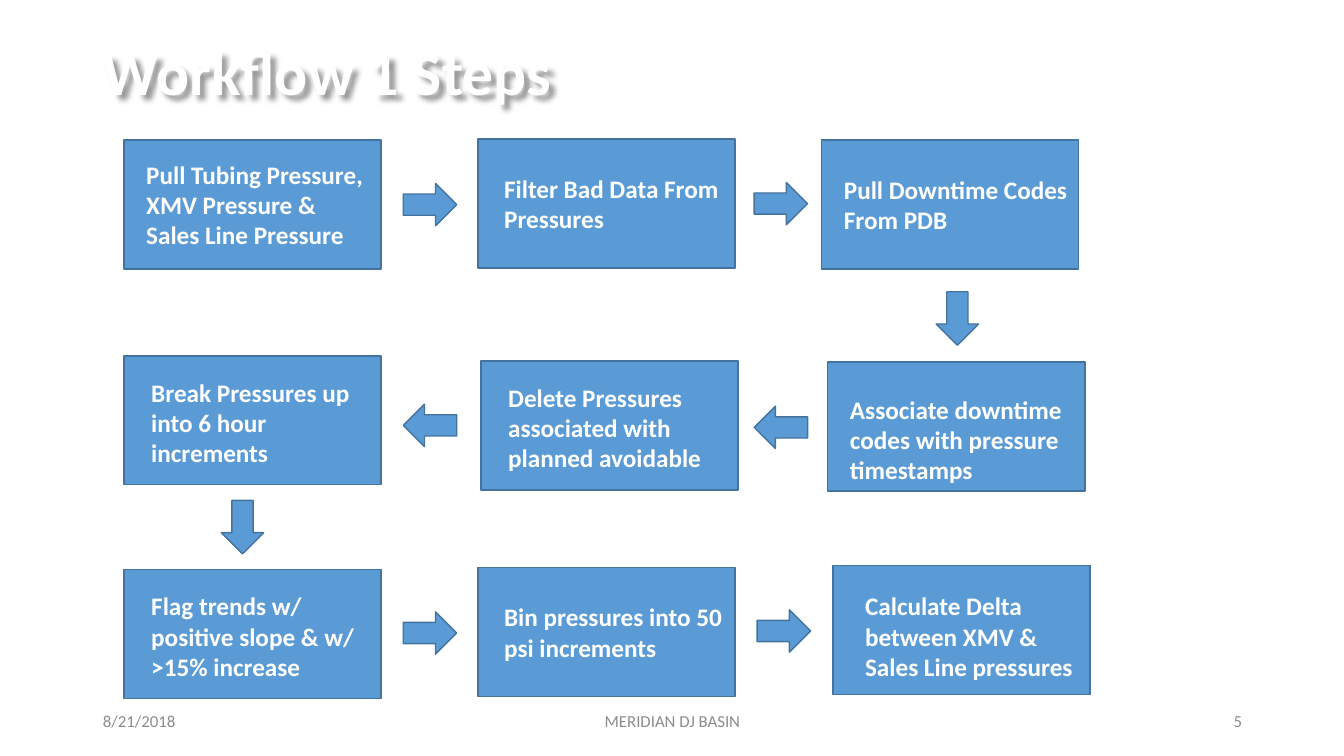
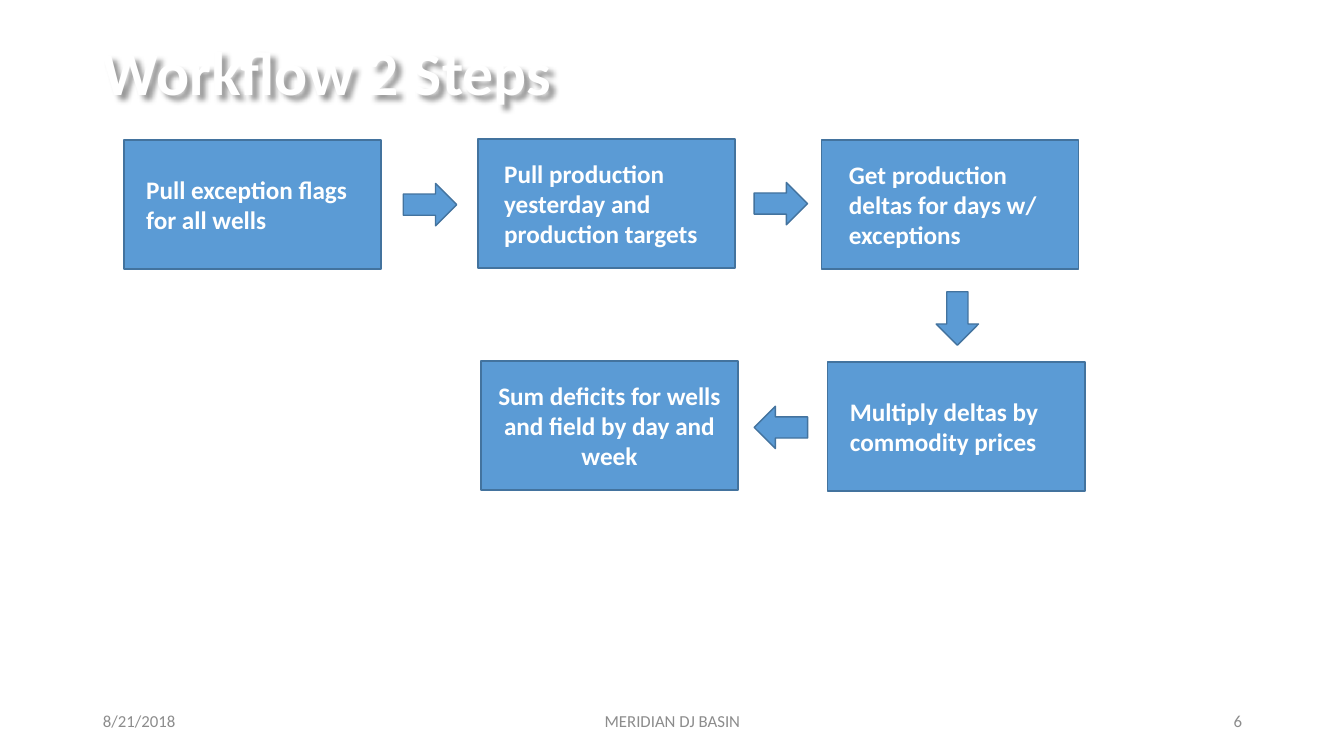
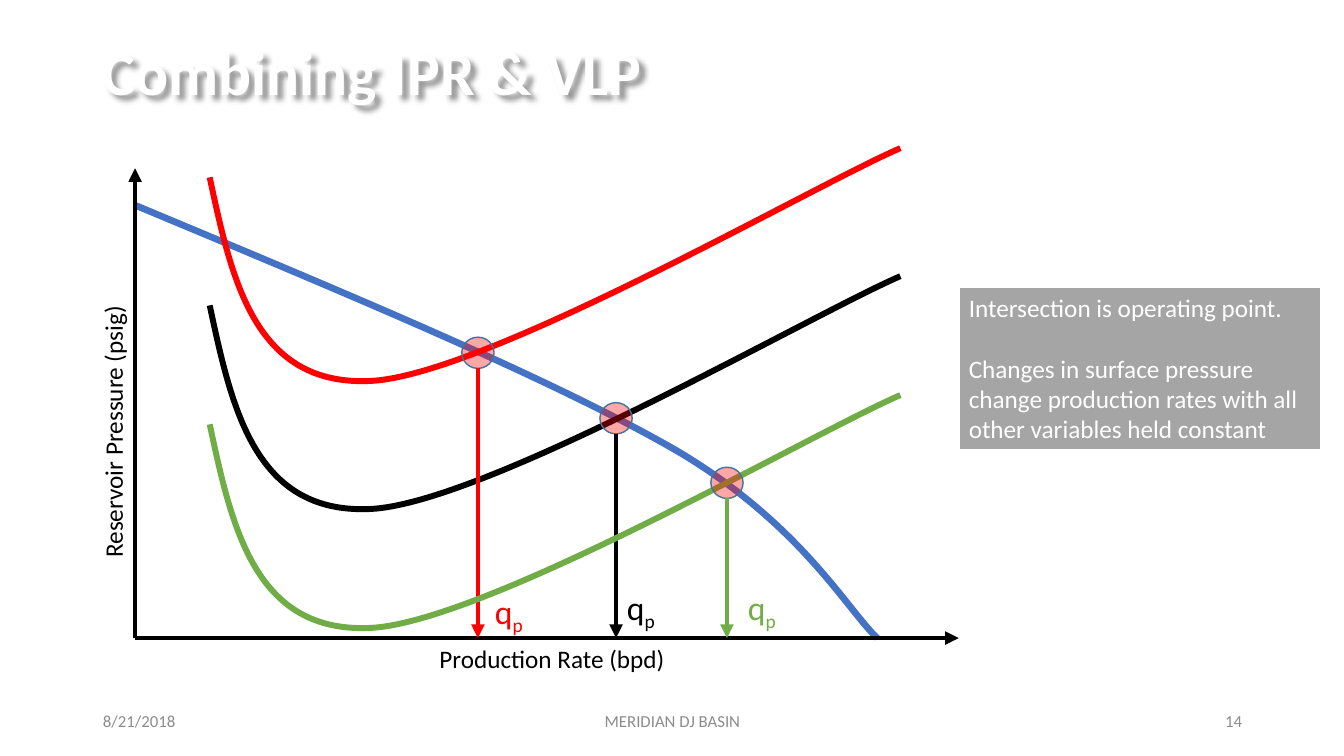
import copy

import lxml.etree
import pptx
import pptx.dml.color
import pptx.enum.shapes
import pptx.enum.text
import pptx.oxml.ns
import pptx.util

Inches = pptx.util.Inches
Pt = pptx.util.Pt
SHAPE = pptx.enum.shapes.MSO_SHAPE
ALIGN = pptx.enum.text.PP_ALIGN
ANCHOR = pptx.enum.text.MSO_ANCHOR
qn = pptx.oxml.ns.qn

FONT = "Calibri"
C = {"box": "5B9BD5", "edge": "43739E", "white": "FFFFFF", "black": "000000",
     "footer": "8C8C8C", "red": "FF0000", "green": "70AD47",
     "blue": "4472C4", "note": "A5A5A5"}

DATE = "8/21/2018"
FOOTER = "MERIDIAN DJ BASIN"
# Layout placeholder index: left, top, width, height, alignment
FRAMES = {
    0: (0.92, 0.24, 11.5, 1.01, ALIGN.LEFT),
    10: (0.92, 6.95, 3, 0.4, ALIGN.LEFT),
    11: (4.42, 6.95, 4.5, 0.4, ALIGN.CENTER),
    12: (9.42, 6.95, 3, 0.4, ALIGN.RIGHT),
}

# Step boxes and the arrows between them, in order of the flow
BOX_W, BOX_H, TEXT_W = 2.55, 1.28, 2.23
BOXES = [(1.23, 1.39), (4.74, 1.38), (8.15, 1.39),
         (8.21, 3.59), (4.77, 3.58), (1.23, 3.53),
         (1.23, 5.65), (4.74, 5.63), (8.26, 5.61)]
ARROW_W, ARROW_H = 0.53, 0.42
ARROWS = [(4, 1.82, 0), (7.48, 1.81, 0), (9.23, 2.95, 90),
          (7.48, 4.03, 180), (4, 4.01, 180), (2.14, 5.02, 90),
          (4, 6.07, 0), (7.51, 6.05, 0)]

# Each step: text, left inset (None centres it), drop below the middle
WORKFLOWS = [
    ("Workflow 1 Steps", 5, [
        ("Pull Tubing Pressure, XMV Pressure & Sales Line Pressure", 0.22, 0),
        ("Filter Bad Data From Pressures", 0.26, 0),
        ("Pull Downtime Codes From PDB", 0.22, 0),
        ("Associate downtime codes with pressure timestamps", 0.22, 0.13),
        ("Delete Pressures associated with planned avoidable", 0.27, 0.02),
        ("Break Pressures up into 6 hour increments", 0.27, 0.02),
        ("Flag trends w/ positive slope & w/ >15% increase", 0.27, 0.02),
        ("Bin pressures into 50 psi increments", 0.26, 0),
        ("Calculate Delta between XMV & Sales Line pressures", 0.32, 0.06),
    ]),
    ("Workflow 2 Steps", 6, [
        ("Pull exception flags for all wells", 0.22, 0),
        ("Pull production yesterday and production targets", 0.26, 0),
        ("Get production deltas for days w/ exceptions", 0.27, 0),
        ("Multiply deltas by commodity prices", 0.22, 0),
        ("Sum deficits for wells and field by day and week", None, 0),
    ]),
]

# Bezier control points: a start, then three points per segment
IPR = [(1.35, 2.04), (3.41, 2.9), (5.48, 3.76), (6.71, 4.47),
       (7.93, 5.19), (8.39, 6.03), (8.7, 6.33)]
VLP = [(2.08, 3.03), (2.3, 4.06), (2.53, 5.1), (3.67, 5.05),
       (4.81, 5), (8.07, 3.11), (8.93, 2.74)]
# Colour, curve shift, operating point, left and top of the q label
CASES = [("black", 0, (6.11, 4.15), (6.12, 5.77)),
         ("red", -1.27, (4.74, 3.5), (4.81, 5.81)),
         ("green", 1.18, (7.21, 4.79), (7.32, 5.77))]
ORIGIN = (1.34, 6.33)
AXIS_ENDS = [(1.34, 1.67), (9.51, 6.33)]
AXIS_LABELS = [("Reservoir Pressure (psig)", -0.27, 4.04, 270),
               ("Production Rate (bpd)", 4.26, 6.33, 0)]
NOTE = ["Intersection is operating point.",
        "Changes in surface pressure change production rates with all "
        "other variables held constant"]


def rgb(name):
    return pptx.dml.color.RGBColor.from_string(C[name])


def add_xml(parent, tag, **attributes):
    return lxml.etree.SubElement(parent, qn(tag), **attributes)


def style(p, size, color, bold=False, align=ALIGN.LEFT):
    p.alignment = align
    for r in p.runs:
        r.font.size, r.font.bold, r.font.name = Pt(size), bold, FONT
        r.font.color.rgb = rgb(color)


def set_line(line, color, weight):
    line.color.rgb = rgb(color)
    line.width = Pt(weight)


def add_shape(s, kind, x, y, w, h, fill="box", edge="edge", weight=1):
    sp = s.shapes.add_shape(kind, Inches(x), Inches(y), Inches(w), Inches(h))
    sp.shadow.inherit = False
    sp.fill.solid()
    sp.fill.fore_color.rgb = rgb(fill)
    set_line(sp.line, edge, weight)
    return sp


def add_label(s, text, x, y, w, h, size, color):
    sp = s.shapes.add_textbox(Inches(x), Inches(y), Inches(w), Inches(h))
    sp.text_frame.word_wrap = True
    sp.text_frame.text = text
    style(sp.text_frame.paragraphs[0], size, color)
    return sp


def add_arrow_line(s, start, end, color):
    cn = s.shapes.add_connector(pptx.enum.shapes.MSO_CONNECTOR.STRAIGHT,
                                *[Inches(v) for v in (*start, *end)])
    set_line(cn.line, color, 3.25)
    spPr = cn._element.spPr
    add_xml(spPr.find(qn("a:ln")), "a:tailEnd", type="triangle")
    add_xml(spPr, "a:effectLst")


def add_curve(s, points, color, weight):
    """Draw a chain of cubic Bezier segments through their control points."""
    start, *rest = [(Inches(x), Inches(y)) for x, y in points]
    builder = s.shapes.build_freeform(*start)
    builder.add_line_segments(rest, close=False)
    sp = builder.convert_to_shape()
    lines = list(sp._element.iter(qn("a:lnTo")))
    for i in range(0, len(lines), 3):
        curve = lxml.etree.Element(qn("a:cubicBezTo"))
        lines[i].addprevious(curve)
        for line in lines[i:i + 3]:
            curve.append(line[0])
            line.getparent().remove(line)
    sp.shadow.inherit = False
    sp.fill.background()
    set_line(sp.line, color, weight)


def prepare_layout(prs):
    layout = prs.slide_layouts[5]
    for ph in layout.placeholders:
        x, y, w, h, _ = FRAMES[ph.placeholder_format.idx]
        ph.left, ph.top, ph.width, ph.height = map(Inches, (x, y, w, h))
    return layout


def add_title_shadow(title):
    title.fill.background()
    effects = add_xml(title._element.spPr, "a:effectLst")
    shadow = add_xml(effects, "a:outerShdw", blurRad="50800", dist="50800",
                     dir="2700000", algn="tl", rotWithShape="0")
    add_xml(add_xml(shadow, "a:srgbClr", val=C["black"]), "a:alpha", val="40000")


def add_slide(prs, layout, title, number):
    s = prs.slides.add_slide(layout)
    for ph in layout.placeholders:
        if ph.placeholder_format.idx:
            s.shapes._spTree.append(copy.deepcopy(ph._element))
    texts = {0: title, 10: DATE, 11: FOOTER, 12: str(number)}
    for ph in s.placeholders:
        idx = ph.placeholder_format.idx
        ph.text_frame.text = texts[idx]
        ph.text_frame.vertical_anchor = ANCHOR.MIDDLE
        size, color, bold = (12, "footer", False) if idx else (44, "white", True)
        style(ph.text_frame.paragraphs[0], size, color, bold, FRAMES[idx][4])
    s.shapes.title.text_frame.paragraphs[0].line_spacing = 0.9
    add_title_shadow(s.shapes.title)
    return s


def add_step(s, text, x, y, inset, drop):
    tf = add_shape(s, SHAPE.RECTANGLE, x, y, BOX_W, BOX_H).text_frame
    tf.word_wrap = True
    tf.vertical_anchor = ANCHOR.MIDDLE
    tf.text = text
    if inset is not None:
        tf.margin_left = Inches(inset)
        tf.margin_right = Inches(round(BOX_W - TEXT_W - inset, 2))
    tf.margin_top, tf.margin_bottom = Inches(2 * drop), 0
    style(tf.paragraphs[0], 18, "white", True,
          ALIGN.CENTER if inset is None else ALIGN.LEFT)


def add_workflow(s, steps):
    for (text, inset, drop), (x, y) in zip(steps, BOXES):
        add_step(s, text, x, y, inset, drop)
    for x, y, turn in ARROWS[:len(steps) - 1]:
        add_shape(s, SHAPE.RIGHT_ARROW, x, y, ARROW_W, ARROW_H).rotation = turn


def add_case(s, color, shift, point, label):
    """Draw one VLP curve with its operating point and production rate."""
    add_curve(s, [(x, y + shift) for x, y in VLP], color, 4.25)
    x, y = point
    w, h = 0.32, 0.31
    dot = add_shape(s, SHAPE.OVAL, x - w / 2, y - h / 2, w, h, "red")
    fill = dot._element.spPr.find(qn("a:solidFill"))
    add_xml(fill[0], "a:alpha", val="35000")
    add_arrow_line(s, (x, y + h / 2), (x, ORIGIN[1]), color)
    p = add_label(s, "q", *label, 0.63, 0.5, 24, color).text_frame.paragraphs[0]
    r = p.add_run()
    r.text = "p"
    style(p, 24, color)
    r._r.get_or_add_rPr().set("baseline", "-25000")


def add_diagram(s):
    add_curve(s, IPR, "blue", 4.75)
    for text, x, y, turn in AXIS_LABELS:
        add_label(s, text, x, y, 2.78, 0.4, 18, "black").rotation = turn
    for end in AXIS_ENDS:
        add_arrow_line(s, ORIGIN, end, "black")
    for case in CASES:
        add_case(s, *case)
    note = add_shape(s, SHAPE.RECTANGLE, 9.51, 2.85, 3.59, 1.62, "note", "white", 1.5)
    tf = note.text_frame
    tf.word_wrap = True
    tf.vertical_anchor = ANCHOR.TOP
    tf.text = "\n".join(NOTE)
    for p in tf.paragraphs:
        style(p, 18, "white")
    tf.paragraphs[1].space_before = Pt(22)


def main():
    prs = pptx.Presentation()
    prs.slide_width, prs.slide_height = Inches(13.33), Inches(7.5)
    layout = prepare_layout(prs)
    for title, number, steps in WORKFLOWS:
        add_workflow(add_slide(prs, layout, title, number), steps)
    add_diagram(add_slide(prs, layout, "Combining IPR & VLP", 14))
    prs.save("out.pptx")


if __name__ == "__main__":
    main()
